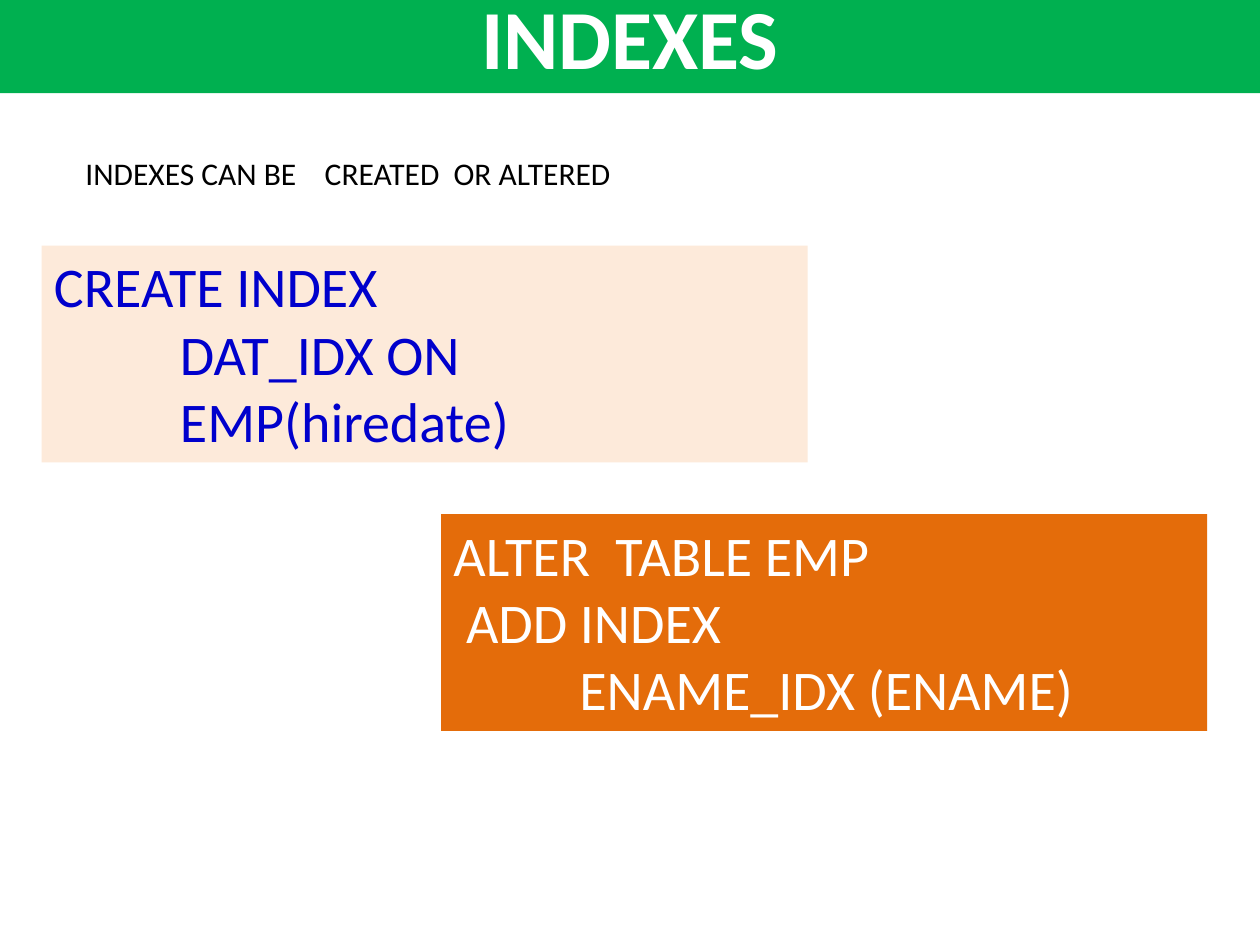
from pptx import Presentation
from pptx.dml.color import RGBColor
from pptx.enum.shapes import MSO_SHAPE
from pptx.enum.text import MSO_ANCHOR, PP_ALIGN
from pptx.util import Inches, Pt

COLORS = {
    "green": "00B050",
    "peach": "FDEADA",
    "orange": "E46C0A",
    "blue": "0000CC",
    "white": "FFFFFF",
    "black": "000000",
}


class SlideBuilder:
    """Holds the text style and the current slide, and adds elements to it."""

    font = "Calibri"

    def __init__(self, s):
        self.s = s

    def set_text(self, tf, lines, size, color, bold=False, align=PP_ALIGN.LEFT):
        for i, (text, indent) in enumerate(lines):
            p = tf.paragraphs[0] if i == 0 else tf.add_paragraph()
            p.text = text
            p.alignment = align
            p.font.name = self.font
            p.font.size = Pt(size)
            p.font.bold = bold
            p.font.color.rgb = RGBColor.from_string(COLORS[color])
            if indent:
                p._p.get_or_add_pPr().set("marL", str(Inches(indent)))

    def panel(self, x, y, w, h, fill, anchor=MSO_ANCHOR.TOP):
        sp = self.s.shapes.add_shape(
            MSO_SHAPE.RECTANGLE, Inches(x), Inches(y), Inches(w), Inches(h))
        sp.shadow.inherit = False
        sp.fill.solid()
        sp.fill.fore_color.rgb = RGBColor.from_string(COLORS[fill])
        sp.line.fill.background()
        tf = sp.text_frame
        tf.word_wrap = True
        tf.vertical_anchor = anchor
        return tf

    def title(self, text):
        tf = self.panel(0, -0.17, 10, 0.91, "green", MSO_ANCHOR.MIDDLE)
        self.set_text(tf, [(text, 0)], 48, "white", True, PP_ALIGN.CENTER)

    def code(self, x, y, fill, color, lines):
        tf = self.panel(x, y, 6.08, 1.72, fill)
        self.set_text(tf, lines, 32, color)

    def note(self, x, y, w, h, text):
        tf = self.s.shapes.add_textbox(
            Inches(x), Inches(y), Inches(w), Inches(h)).text_frame
        tf.word_wrap = False
        self.set_text(tf, [(text, 0)], 18, "black")


def main():
    prs = Presentation()
    prs.slide_width, prs.slide_height = Inches(10), Inches(7.5)
    b = SlideBuilder(prs.slides.add_slide(prs.slide_layouts[6]))
    b.title("INDEXES")
    b.code(0.33, 1.95, "peach", "blue", [
        ("CREATE INDEX", 0), ("DAT_IDX ON", 1), ("EMP(hiredate)", 1)])
    b.code(3.5, 4.08, "orange", "white", [
        ("ALTER  TABLE EMP", 0), ("ADD INDEX", 0.1), ("ENAME_IDX (ENAME)", 1)])
    b.note(0.58, 1.17, 4.41, 0.4, "INDEXES CAN BE    CREATED  OR ALTERED")
    prs.save("out.pptx")


if __name__ == "__main__":
    main()
